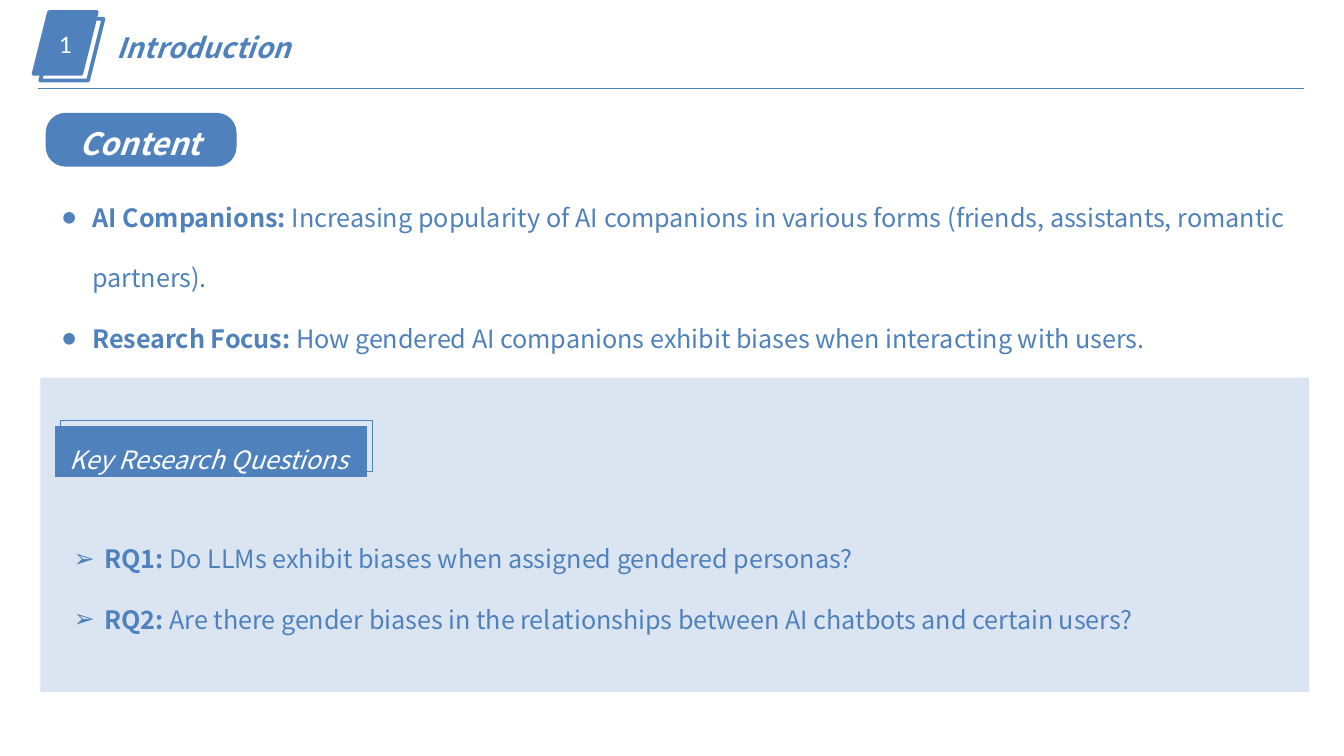
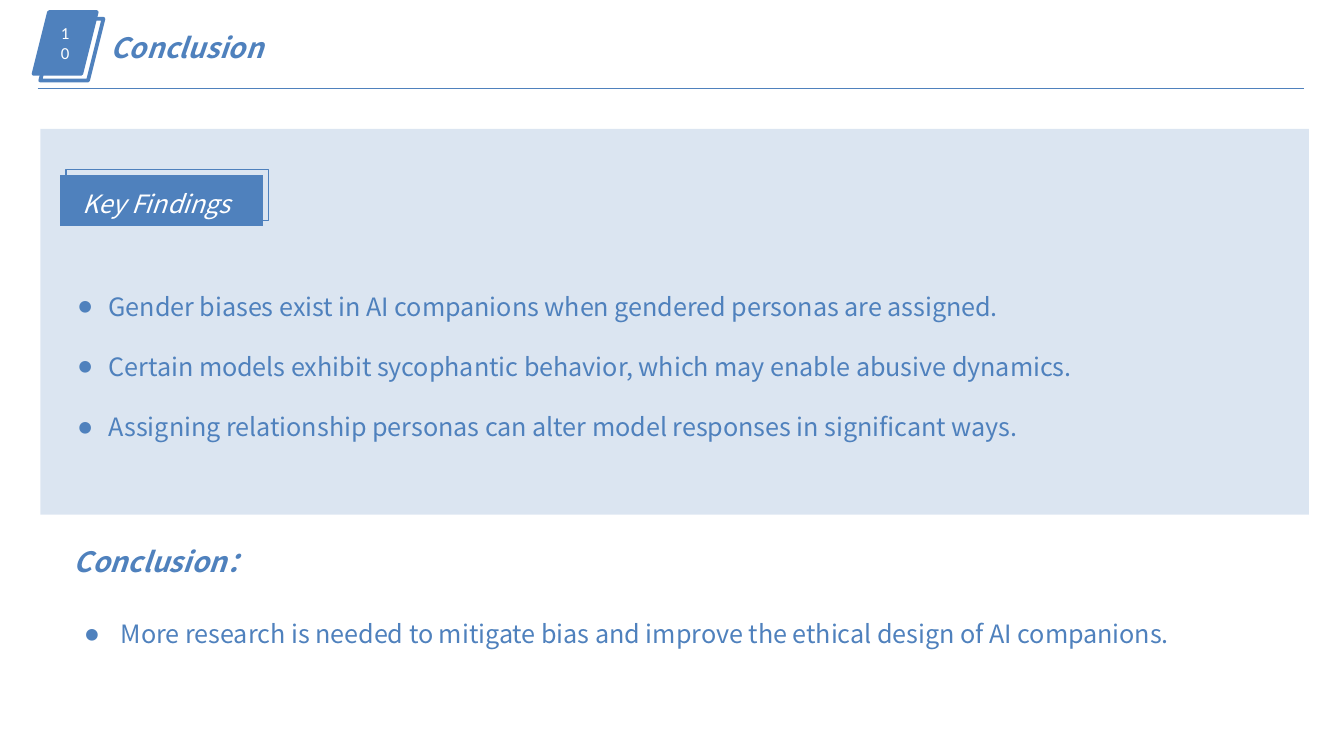
from dataclasses import dataclass

from lxml import etree
from pptx import Presentation
from pptx.dml.color import RGBColor
from pptx.enum.shapes import MSO_CONNECTOR, MSO_SHAPE
from pptx.enum.text import MSO_ANCHOR, MSO_AUTO_SIZE, PP_ALIGN
from pptx.oxml.ns import qn
from pptx.util import Inches, Pt

RECT, ROUND = MSO_SHAPE.RECTANGLE, MSO_SHAPE.ROUNDED_RECTANGLE
SLANT = MSO_SHAPE.PARALLELOGRAM
LEFT, CENTER, JUSTIFY = PP_ALIGN.LEFT, PP_ALIGN.CENTER, PP_ALIGN.JUSTIFY
TOP, MIDDLE = MSO_ANCHOR.TOP, MSO_ANCHOR.MIDDLE
GROW = MSO_AUTO_SIZE.SHAPE_TO_FIT_TEXT
DOT, ARROW = "●", "➢"


@dataclass(frozen=True)
class Theme:
    blue: RGBColor = RGBColor(0x4F, 0x81, 0xBD)
    white: RGBColor = RGBColor(0xFF, 0xFF, 0xFF)
    panel_alpha: int = 20
    font: str = "Noto Sans CJK SC"
    label_font: str = "Noto Sans CJK JP"
    plain_font: str = "Calibri"
    heading: float = 15
    pill: float = 16.5
    body: float = 13.5
    small: float = 9
    thin: float = 0.75
    thick: float = 2


class Deck:
    def __init__(self, theme):
        self.t = theme
        self.prs = Presentation()
        # 16:9 page
        self.prs.slide_width = Inches(10)
        self.prs.slide_height = Inches(10) * 9 // 16
        self.s = None

    def run(self, p, text, size, color=None, font=None, bold=False, italic=False):
        r = p.add_run()
        r.text = text
        f = r.font
        f.size, f.bold, f.italic = Pt(size), bold, italic
        f.color.rgb = color or self.t.blue
        f.name = font or self.t.font
        ea = etree.SubElement(r._r.get_or_add_rPr(), qn("a:ea"))
        ea.set("typeface", f.name)

    def shape(self, kind, box, fill=None, line=None, adj=None, alpha=None):
        sp = self.s.shapes.add_shape(kind, *map(Inches, box))
        sp.shadow.inherit = False
        if adj is not None:
            sp.adjustments[0] = adj
        if fill is None:
            sp.fill.background()
        else:
            sp.fill.solid()
            sp.fill.fore_color.rgb = fill
        if alpha is not None:
            clr = sp.fill._xPr.find(".//" + qn("a:srgbClr"))
            etree.SubElement(clr, qn("a:alpha")).set("val", str(alpha * 1000))
        if line is None:
            sp.line.fill.background()
        else:
            sp.line.color.rgb = self.t.blue
            sp.line.width = Pt(line)
        return sp

    def text(self, box, wrap=True, grow=True):
        tf = self.s.shapes.add_textbox(*map(Inches, box)).text_frame
        tf.word_wrap = wrap
        if grow:
            tf.auto_size = GROW
        return tf

    def heading(self, box, text):
        p = self.text(box).paragraphs[0]
        self.run(p, text, self.t.heading, bold=True, italic=True)

    def bullets(self, box, items, mark=DOT, grow=False):
        """Each item is a (bold lead, text) pair."""
        tf = self.text(box, grow=grow)
        indent = Inches(0.23)
        for i, (lead, body) in enumerate(items):
            p = tf.add_paragraph() if i else tf.paragraphs[0]
            p.alignment, p.line_spacing = JUSTIFY, 2.0
            pPr = p._p.get_or_add_pPr()
            pPr.set("marL", str(indent))
            pPr.set("indent", str(-indent))
            etree.SubElement(pPr, qn("a:buFont")).set("typeface", self.t.plain_font)
            etree.SubElement(pPr, qn("a:buChar")).set("char", mark)
            if lead:
                self.run(p, lead, self.t.body, bold=True)
            self.run(p, body, self.t.body)

    def panel(self, y, h):
        self.shape(RECT, (0.3, y, 9.44, h), self.t.blue, alpha=self.t.panel_alpha)

    def label(self, x, y, w, text, text_box):
        # Solid tag over an offset outline
        h, off = 0.38, 0.04
        self.shape(SLANT, (x + off, y - off, w, h), line=self.t.thin, adj=0)
        self.shape(SLANT, (x, y, w, h), self.t.blue, adj=0)
        p = self.text(text_box, wrap=False).paragraphs[0]
        p.alignment, p.line_spacing = CENTER, 1.2
        self.run(p, text, self.t.body, self.t.white, self.t.label_font, italic=True)

    def pill(self, box, text, text_box):
        self.shape(ROUND, box, self.t.blue, adj=0.37)
        p = self.text(text_box).paragraphs[0]
        self.run(p, text, self.t.pill, self.t.white, bold=True, italic=True)

    def slide(self, number, title, number_size):
        self.s = self.prs.slides.add_slide(self.prs.slide_layouts[5])
        # Number badge
        w, h = 0.47, 0.46
        sp = self.shape(SLANT, (0.25, 0.09, w, h), self.t.blue, self.t.thick)
        sp.text_frame.vertical_anchor = MIDDLE
        p = sp.text_frame.paragraphs[0]
        p.alignment = CENTER
        self.run(p, number, number_size, self.t.white, self.t.plain_font)
        self.shape(SLANT, (0.3, 0.14, w, h), line=self.t.thick)
        # Header rule
        ends = map(Inches, (0.28, 0.66, 9.7, 0.66))
        c = self.s.shapes.add_connector(MSO_CONNECTOR.STRAIGHT, *ends)
        c.line.color.rgb, c.line.width = self.t.blue, Pt(self.t.thin)
        etree.SubElement(c._element.spPr, qn("a:effectLst"))
        # Title
        sp = self.s.shapes.title
        sp.left, sp.top = Inches(0.72), Inches(0.18)
        sp.width, sp.height = Inches(2.01), Inches(0.35)
        tf = sp.text_frame
        tf.word_wrap, tf.auto_size, tf.vertical_anchor = True, GROW, TOP
        tf.paragraphs[0].alignment = LEFT
        self.run(tf.paragraphs[0], title, self.t.heading, bold=True, italic=True)


def introduction(d):
    d.slide("1", " Introduction", d.t.body)
    d.panel(2.81, 2.34)
    d.bullets((0.45, 3.77, 8.92, 1.97), [
        ("RQ1:", " Do LLMs exhibit biases when assigned gendered personas?"),
        ("RQ2:", " Are there gender biases in the relationships between "
                 "AI chatbots and certain users?"),
    ], mark=ARROW)
    d.label(0.41, 3.17, 2.32, "Key Research Questions", (0.37, 3.21, 2.37, 0.35))
    d.bullets((0.36, 1.23, 9.3, 1.4), [
        ("AI Companions:", " Increasing popularity of AI companions in various "
                           "forms (friends, assistants, romantic partners)."),
        ("Research Focus:", " How gendered AI companions exhibit biases when "
                            "interacting with users."),
    ], grow=True)
    d.pill((0.34, 0.84, 1.42, 0.4), "Content", (0.49, 0.88, 1.42, 0.38))


def conclusion(d):
    d.slide("10", "Conclusion", d.t.small)
    d.panel(0.96, 2.87)
    d.bullets((0.48, 1.89, 8.92, 1.72), [
        ("", "Gender biases exist in AI companions when gendered personas are assigned."),
        ("", "Certain models exhibit sycophantic behavior, which may enable abusive dynamics."),
        ("", "Assigning relationship personas can alter model responses in significant ways."),
    ])
    d.label(0.45, 1.3, 1.51, "Key Findings", (0.49, 1.31, 1.35, 0.35))
    d.bullets((0.53, 4.33, 9.3, 0.49), [
        ("", " More research is needed to mitigate bias and improve the ethical "
             "design of AI companions."),
    ], grow=True)
    d.heading((0.45, 4, 2.01, 0.35), "Conclusion：")


def main():
    d = Deck(Theme())
    introduction(d)
    conclusion(d)
    d.prs.save("out.pptx")


if __name__ == "__main__":
    main()
